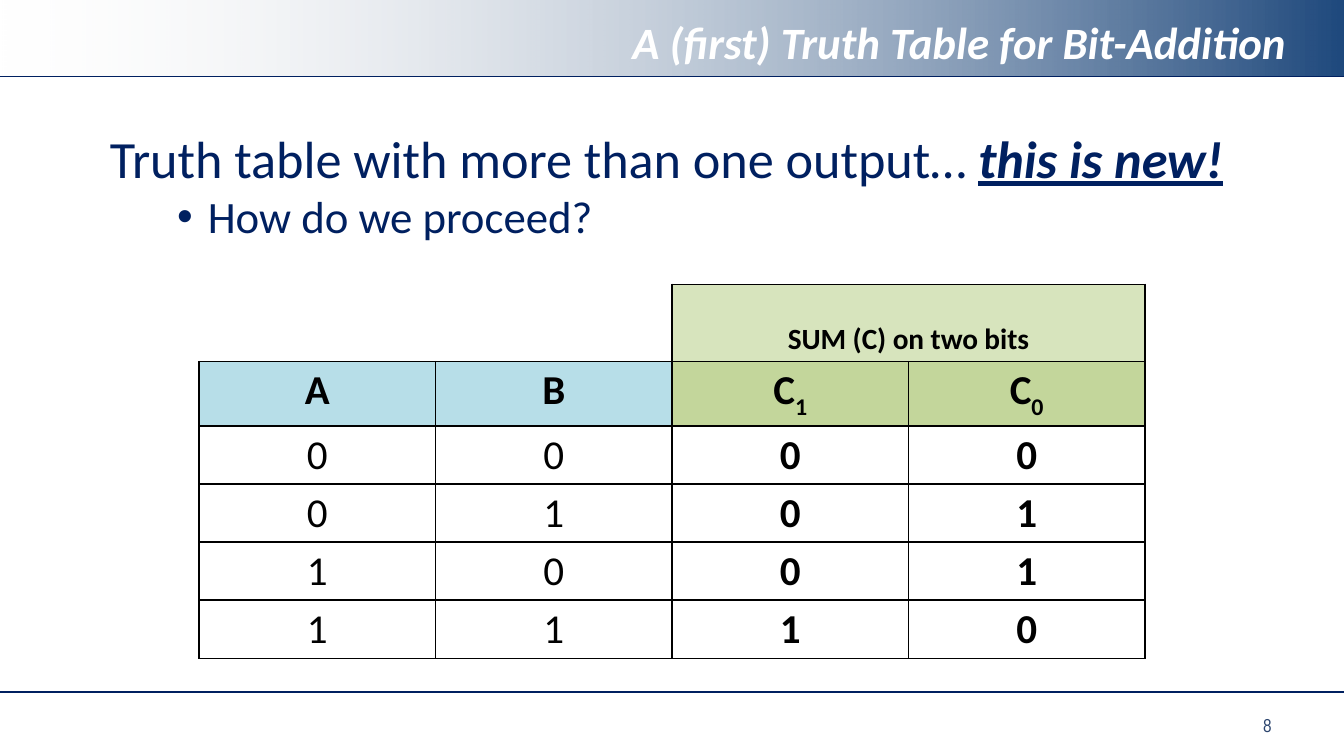
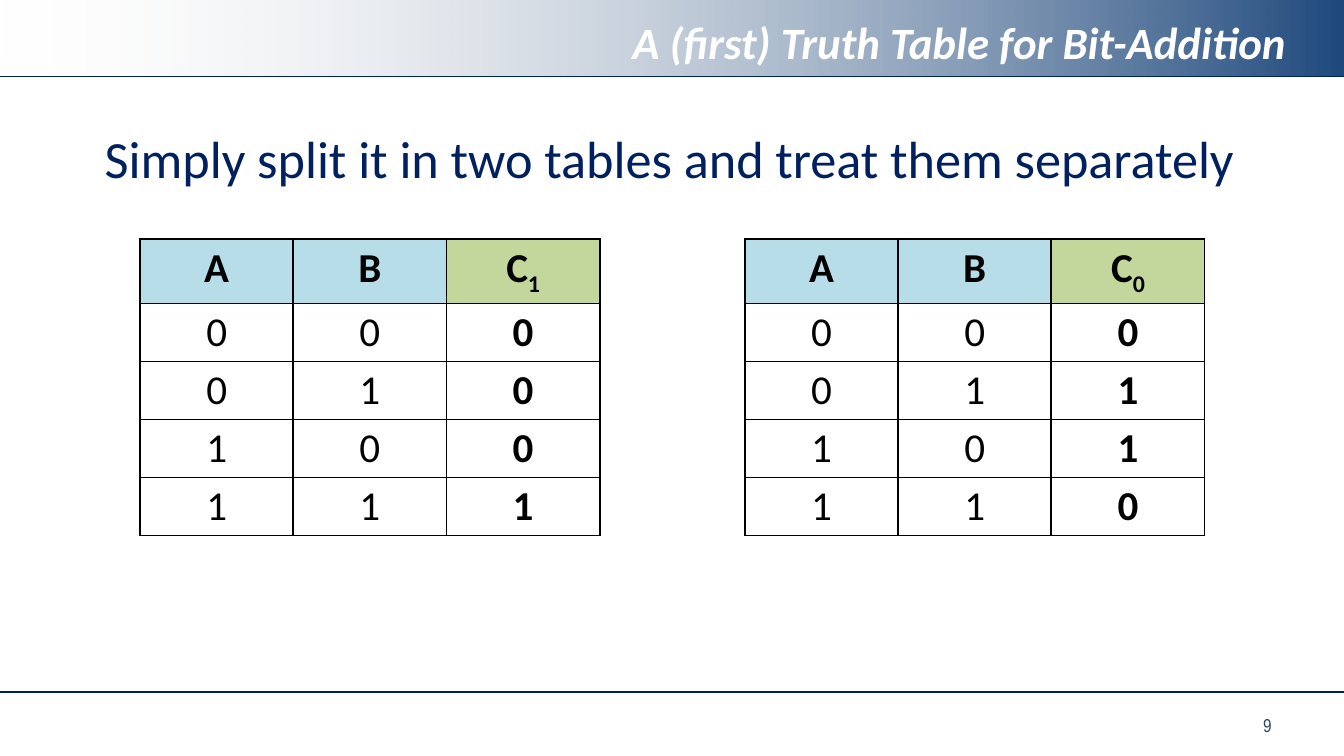
from itertools import product

from lxml.etree import SubElement
from pptx import Presentation
from pptx.dml.color import RGBColor
from pptx.enum.shapes import MSO_CONNECTOR, MSO_SHAPE
from pptx.enum.text import MSO_ANCHOR as Anchor, PP_ALIGN as Align
from pptx.oxml.ns import qn
from pptx.util import Pt

NAVY = RGBColor(0x00, 0x20, 0x60)
BAND_START = RGBColor(0xEA, 0xEA, 0xEA)
BAND_END = RGBColor(0x1F, 0x49, 0x7D)
PAGE_BLUE = RGBColor(0x2C, 0x45, 0x6E)
WHITE = RGBColor(0xFF, 0xFF, 0xFF)
BLACK = RGBColor(0x00, 0x00, 0x00)
INPUT_BLUE = RGBColor(0xB7, 0xDE, 0xE8)
OUTPUT_GREEN = RGBColor(0xC3, 0xD6, 0x9B)
BANNER_GREEN = RGBColor(0xD7, 0xE4, 0xBD)

WIDTH, HEIGHT = 720, 405
BAND_HEIGHT, FOOTER_TOP = 41, 370.8
ROW_HEIGHT = 31.1
TITLE = "A (first) Truth Table for Bit-Addition"
TITLE_STYLE = {"size": Pt(24), "bold": True, "italic": True, "color": WHITE}
PAGE_STYLE = {"size": Pt(10), "name": "Arial Narrow", "color": PAGE_BLUE}
HEADING = {"size": Pt(28), "color": NAVY}
EMPHASIS = {**HEADING, "bold": True, "italic": True, "underline": True}
POINT = {"size": Pt(24), "color": NAVY}
INPUT = {"size": Pt(22), "bold": False, "color": BLACK}
OUTPUT = {**INPUT, "bold": True}
SUBSCRIPT = {**OUTPUT, "baseline": -25000}
BANNER = {**SUBSCRIPT, "size": Pt(27)}

INPUTS = list(product((0, 1), repeat=2))
OUTPUTS = {"C1": lambda a, b: a & b, "C0": lambda a, b: a ^ b}


class Deck:
    def __init__(self):
        self.presentation = Presentation()
        self.presentation.slide_width = Pt(WIDTH)
        self.presentation.slide_height = Pt(HEIGHT)
        self.slide = None

    def start_slide(self, number):
        self.slide = self.presentation.slides.add_slide(
            self.presentation.slide_layouts[6])
        self.band()
        self.rule(BAND_HEIGHT)
        self.text(669.6, 378.7, 39.6, 19.4, [(str(number), PAGE_STYLE)])
        self.rule(FOOTER_TOP)
        title = self.text(36, 4.3, 660, 36, [(TITLE, TITLE_STYLE)], Align.RIGHT)
        title.text_frame.vertical_anchor = Anchor.MIDDLE

    def band(self):
        shape = self.slide.shapes.add_shape(
            MSO_SHAPE.RECTANGLE, 0, 0, Pt(WIDTH), Pt(BAND_HEIGHT))
        shape.shadow.inherit = False
        shape.line.fill.background()
        shape.fill.gradient()
        shape.fill.gradient_angle = 0
        for stop, color in zip(shape.fill.gradient_stops, (BAND_START, BAND_END)):
            stop.color.rgb = color
        start = next(shape._element.iter(qn("a:srgbClr")))
        SubElement(start, qn("a:alpha"), val="0")

    def rule(self, top):
        line = self.slide.shapes.add_connector(
            MSO_CONNECTOR.STRAIGHT, Pt(WIDTH), Pt(top), 0, Pt(top))
        line.line.color.rgb = NAVY
        line.line.width = Pt(0.75)
        SubElement(line._element.spPr, qn("a:effectLst"))

    def runs(self, paragraph, runs, align):
        paragraph.alignment = align
        for text, style in runs:
            run = paragraph.add_run()
            run.text = text
            for key, value in {"name": "Calibri", **style}.items():
                if key == "color":
                    run.font.color.rgb = value
                elif key == "baseline":
                    run._r.get_or_add_rPr().set(key, str(value))
                else:
                    setattr(run.font, key, value)

    def text(self, left, top, width, height, runs, align=Align.LEFT):
        box = self.slide.shapes.add_textbox(Pt(left), Pt(top), Pt(width), Pt(height))
        box.text_frame.word_wrap = True
        self.runs(box.text_frame.paragraphs[0], runs, align)
        return box

    def bullet(self, box, text):
        paragraph = box.text_frame.add_paragraph()
        paragraph.level = 1
        properties = paragraph._p.get_or_add_pPr()
        properties.set("marL", str(Pt(52.5)))
        properties.set("indent", str(Pt(-16.5)))
        SubElement(properties, qn("a:buFont"), typeface="Arial")
        SubElement(properties, qn("a:buChar"), char="•")
        self.runs(paragraph, [(text, POINT)], Align.JUSTIFY)

    def cell(self, cell, runs=(), fill=None, sides="LRTB"):
        cell.margin_left = cell.margin_right = Pt(4.5)
        cell.margin_top = cell.margin_bottom = Pt(2.25)
        properties = cell._tc.get_or_add_tcPr()
        for side in "LRTB":
            border = SubElement(properties, qn(f"a:ln{side}"), w=str(Pt(1)))
            if side in sides:
                solid = SubElement(border, qn("a:solidFill"))
                SubElement(solid, qn("a:srgbClr"), val=str(BLACK))
            else:
                SubElement(border, qn("a:noFill"))
        if fill:
            cell.fill.solid()
            cell.fill.fore_color.rgb = fill
        else:
            cell.fill.background()
        self.runs(cell.text_frame.paragraphs[0], runs, Align.CENTER)

    def truth_table(self, left, top, column_width, outputs, banner=None):
        headers = ["A", "B", *outputs]
        first = 1 if banner else 0
        count = first + 1 + len(INPUTS)
        table = self.slide.shapes.add_table(
            count, len(headers), Pt(left), Pt(top),
            Pt(column_width * len(headers)), Pt(ROW_HEIGHT * count)).table
        table.first_row = table.horz_banding = False
        for column in table.columns:
            column.width = Pt(column_width)
        for row in table.rows:
            row.height = Pt(ROW_HEIGHT)
        if banner:
            self.cell(table.cell(0, 0), sides="B")
            self.cell(table.cell(0, 1), sides="RB")
            self.cell(table.cell(0, 2), [(banner, BANNER)], BANNER_GREEN)
            self.cell(table.cell(0, 3), fill=BANNER_GREEN)
            table.cell(0, 2).merge(table.cell(0, 3))
        for index, name in enumerate(headers):
            runs = [(name[0], OUTPUT)]
            if name in outputs:
                runs.append((name[1], SUBSCRIPT))
            fill = OUTPUT_GREEN if name in outputs else INPUT_BLUE
            self.cell(table.cell(first, index), runs, fill)
        for row, bits in enumerate(INPUTS, first + 1):
            values = [*bits, *(OUTPUTS[name](*bits) for name in outputs)]
            for index, value in enumerate(values):
                style = INPUT if index < len(bits) else OUTPUT
                self.cell(table.cell(row, index), [(str(value), style)])


def main():
    deck = Deck()
    deck.start_slide(8)
    deck.truth_table(106.6, 152.4, 126.7, ["C1", "C0"], "SUM (C) on two bits")
    box = deck.text(51.8, 64.1, 617, 70.6, [
        ("Truth table with more than one output… ", HEADING),
        ("this is new!", EMPHASIS)], Align.JUSTIFY)
    deck.bullet(box, "How do we proceed?")

    deck.start_slide(9)
    for left, output in ((75, "C1"), (399, "C0")):
        deck.truth_table(left, 128, 82.1, [output])
    deck.text(49, 64.1, 622.8, 41, [
        ("Simply split it in two tables and treat them separately", HEADING)],
        Align.JUSTIFY)
    deck.presentation.save("out.pptx")


if __name__ == "__main__":
    main()
